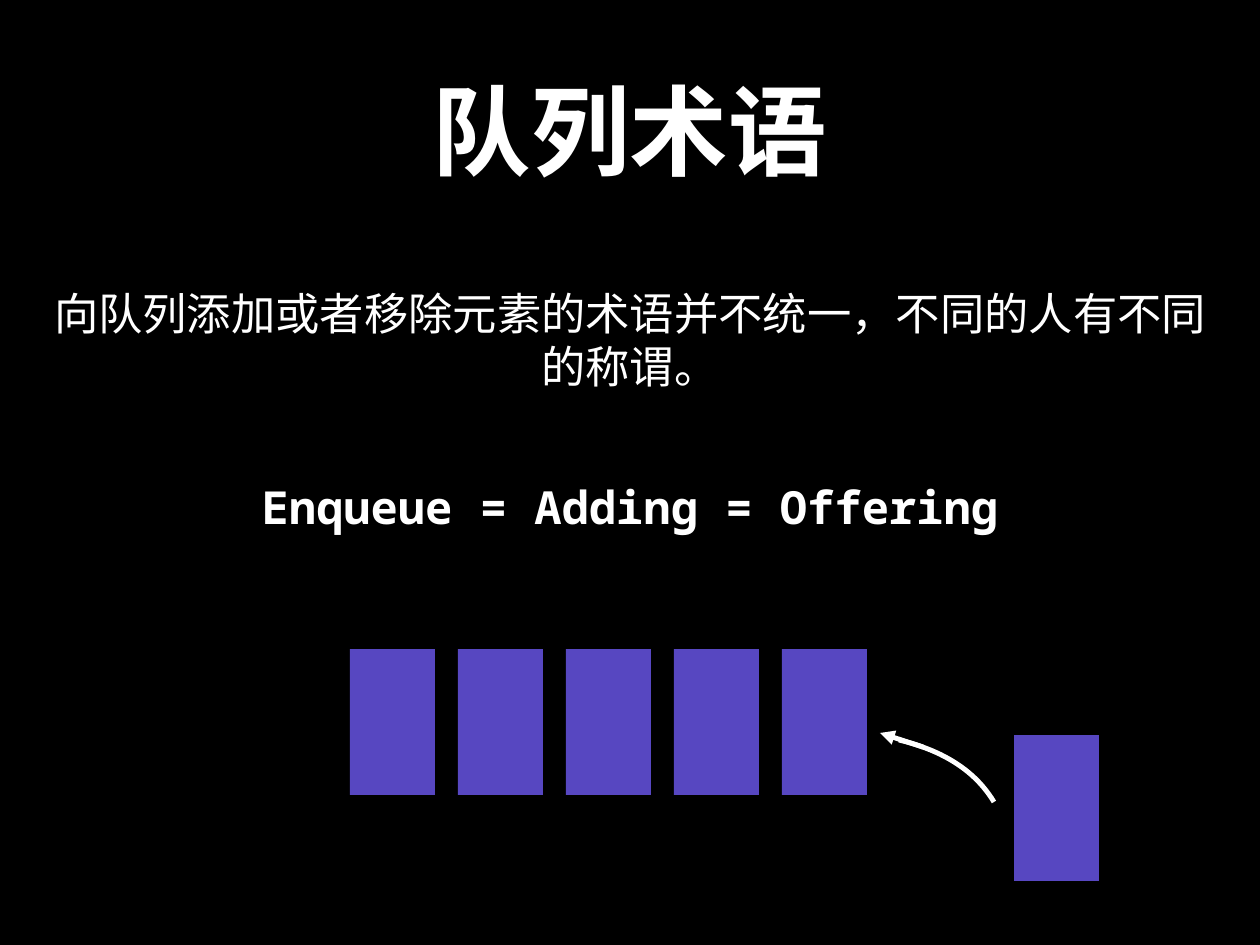
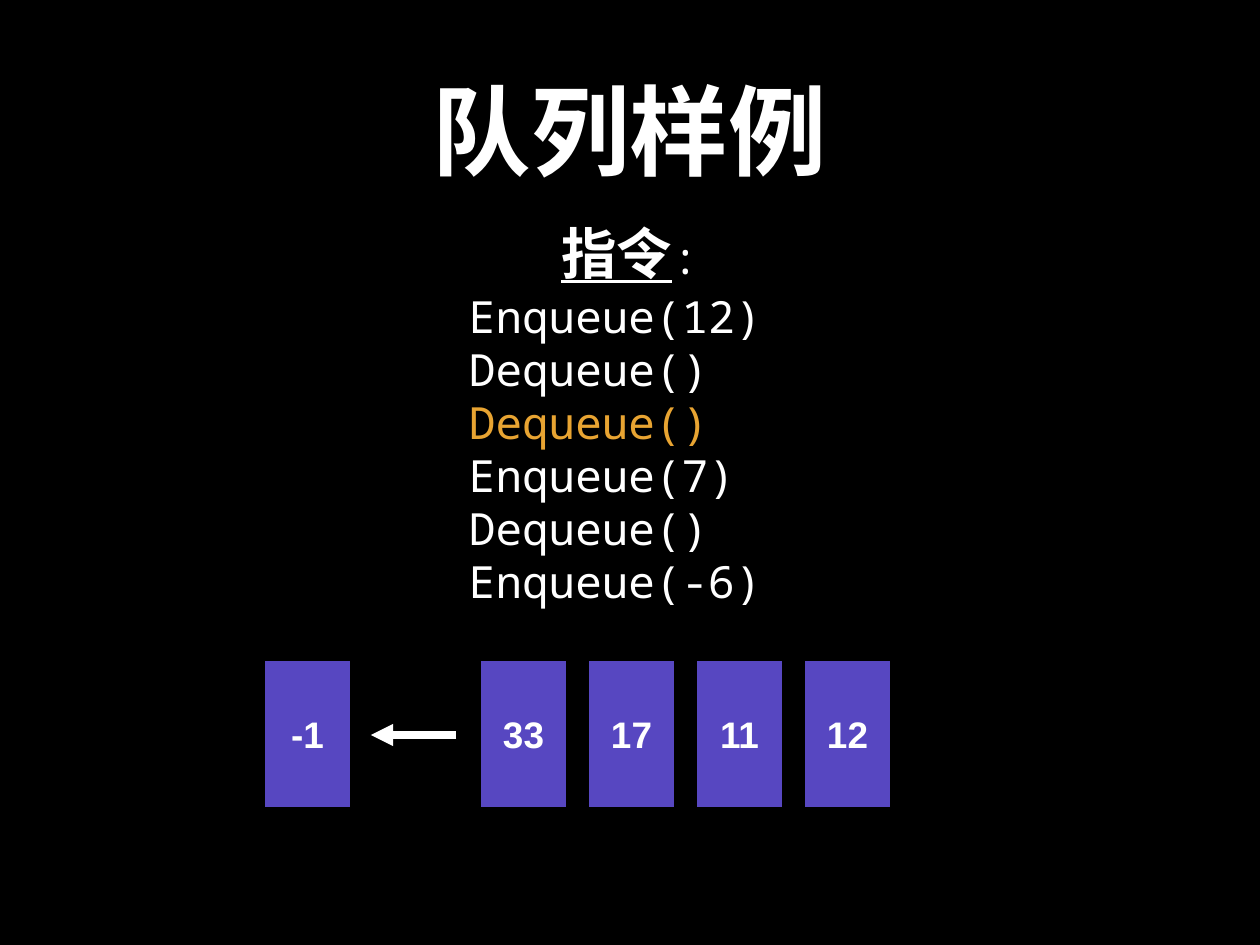
from lxml import etree
from pptx import Presentation
from pptx.dml.color import RGBColor
from pptx.enum.shapes import MSO_CONNECTOR, MSO_SHAPE
from pptx.enum.text import MSO_ANCHOR, PP_ALIGN
from pptx.oxml.ns import qn
from pptx.util import Pt

PX = 10320  # EMU per pixel
RECT, STRAIGHT = MSO_SHAPE.RECTANGLE, MSO_CONNECTOR.STRAIGHT
LEFT, CENTER, MIDDLE = PP_ALIGN.LEFT, PP_ALIGN.CENTER, MSO_ANCHOR.MIDDLE
rgb = RGBColor.from_string
BLACK, WHITE, PURPLE, ORANGE = "000000", "FFFFFF", "5747C1", "E8A432"
MONO = "Noto Sans Mono"

# Text formats
TITLE = dict(name=MONO, size=Pt(80), bold=True)
TERMS = dict(name=MONO, size=Pt(37), bold=True)
BODY = dict(name=MONO, size=Pt(36))
HEADING = dict(name=MONO, size=Pt(45), bold=True, underline=True)
LABEL = dict(name="Arial", size=Pt(30), bold=True)


def write(sp, paragraphs, align=CENTER, spacing=None):
    """Fill a shape with paragraphs, each a list of (text, format, colour)."""
    tf = sp.text_frame
    tf.word_wrap, tf.vertical_anchor = True, MIDDLE
    for side in ("left", "top", "right", "bottom"):
        setattr(tf, f"margin_{side}", 5 * PX)
    for i, runs in enumerate(paragraphs):
        p = tf.add_paragraph() if i else tf.paragraphs[0]
        p.alignment, p.line_spacing = align, spacing
        for text, style, color in runs:
            r = p.add_run()
            r.text = text
            for key, value in style.items():
                setattr(r.font, key, value)
            r.font.color.rgb = rgb(color)
            etree.SubElement(r.font._element, qn("a:ea"), typeface=style["name"])


def add_arrow(s, x1, y1, x2, y2, width):
    """Draw a white arrow with its head at the second point."""
    cn = s.shapes.add_connector(STRAIGHT, x1 * PX, y1 * PX, x2 * PX, y2 * PX)
    cn.line.color.rgb, cn.line.width = rgb(WHITE), Pt(width)
    etree.SubElement(cn.line._get_or_add_ln(), qn("a:tailEnd"), type="triangle")
    etree.SubElement(cn._element.spPr, qn("a:effectLst"))


prs = Presentation()
prs.slide_width, prs.slide_height = 1260 * PX, 945 * PX

# Shared black background
fill = prs.slide_master.background.fill
fill.solid()
fill.fore_color.rgb = rgb(BLACK)
terms, example = [prs.slides.add_slide(prs.slide_layouts[6]) for _ in range(2)]

# Titles and body text
TITLE_BOX = (92, 25, 1076, 209)
commands = ["Enqueue(12)", "Dequeue()", "Dequeue()", "Enqueue(7)", "Dequeue()", "Enqueue(-6)"]
current = 2
command_lines = [[(text, BODY, ORANGE if i == current else WHITE)]
                 for i, text in enumerate(commands)]
intro = "向队列添加或者移除元素的术语并不统一,不同的人有不同的称谓。".replace(",", "\uff0c")
texts = [
    (terms, TITLE_BOX, CENTER, None, [[("队列术语", TITLE, WHITE)]]),
    (terms, (92, 402, 1076, 209), CENTER, None,
     [[("Enqueue = Adding = Offering", TERMS, WHITE)]]),
    (terms, (32, 281, 1196, 117), CENTER, Pt(43), [[(intro, BODY, WHITE)]]),
    (example, TITLE_BOX, CENTER, None, [[("队列样例", TITLE, WHITE)]]),
    (example, (32, 214, 1196, 77), CENTER, None,
     [[("指令", HEADING, WHITE), (":", BODY, WHITE)]]),
    (example, (464, 292, 331, 313), LEFT, Pt(43), command_lines),
]
for s, box, align, spacing, paragraphs in texts:
    write(s.shapes.add_textbox(*(v * PX for v in box)), paragraphs, align, spacing)

# Queue elements: slide, left, top, label
STEP = 108
elements = [(terms, 350 + STEP * i, 649, "") for i in range(5)]
elements.append((terms, 1014, 735, ""))
elements += [(example, 265 + STEP * slot, 661, label)
             for slot, label in [(0, "-1"), (2, "33"), (3, "17"), (4, "11"), (5, "12")]]
for s, x, y, label in elements:
    sp = s.shapes.add_shape(RECT, x * PX, y * PX, 85 * PX, 146 * PX)
    sp.shadow.inherit = False
    sp.fill.solid()
    sp.fill.fore_color.rgb = rgb(PURPLE)
    sp.line.fill.background()
    if label:
        write(sp, [[(label, LABEL, WHITE)]])

# Curved tail of the enqueue arrow, sampled from a cubic Bezier
controls = [(899, 740), (945, 751), (976, 772), (994, 802)]
points = []
for i in range(25):
    t = i / 24
    weights = [(1 - t) ** 3, 3 * t * (1 - t) ** 2, 3 * t ** 2 * (1 - t), t ** 3]
    points.append(tuple(round(PX * sum(w * c[axis] for w, c in zip(weights, controls)))
                        for axis in (0, 1)))
curve = terms.shapes.build_freeform(*points[0])
curve.add_line_segments(points[1:], close=False)
sp = curve.convert_to_shape()
sp.shadow.inherit = False
sp.fill.background()
sp.line.color.rgb, sp.line.width = rgb(WHITE), Pt(4)

# Arrowheads: into the queue, and out of it
add_arrow(terms, 923, 747, 880, 733, 4)
add_arrow(example, 456, 735, 371, 735, 6)

prs.save("out.pptx")
